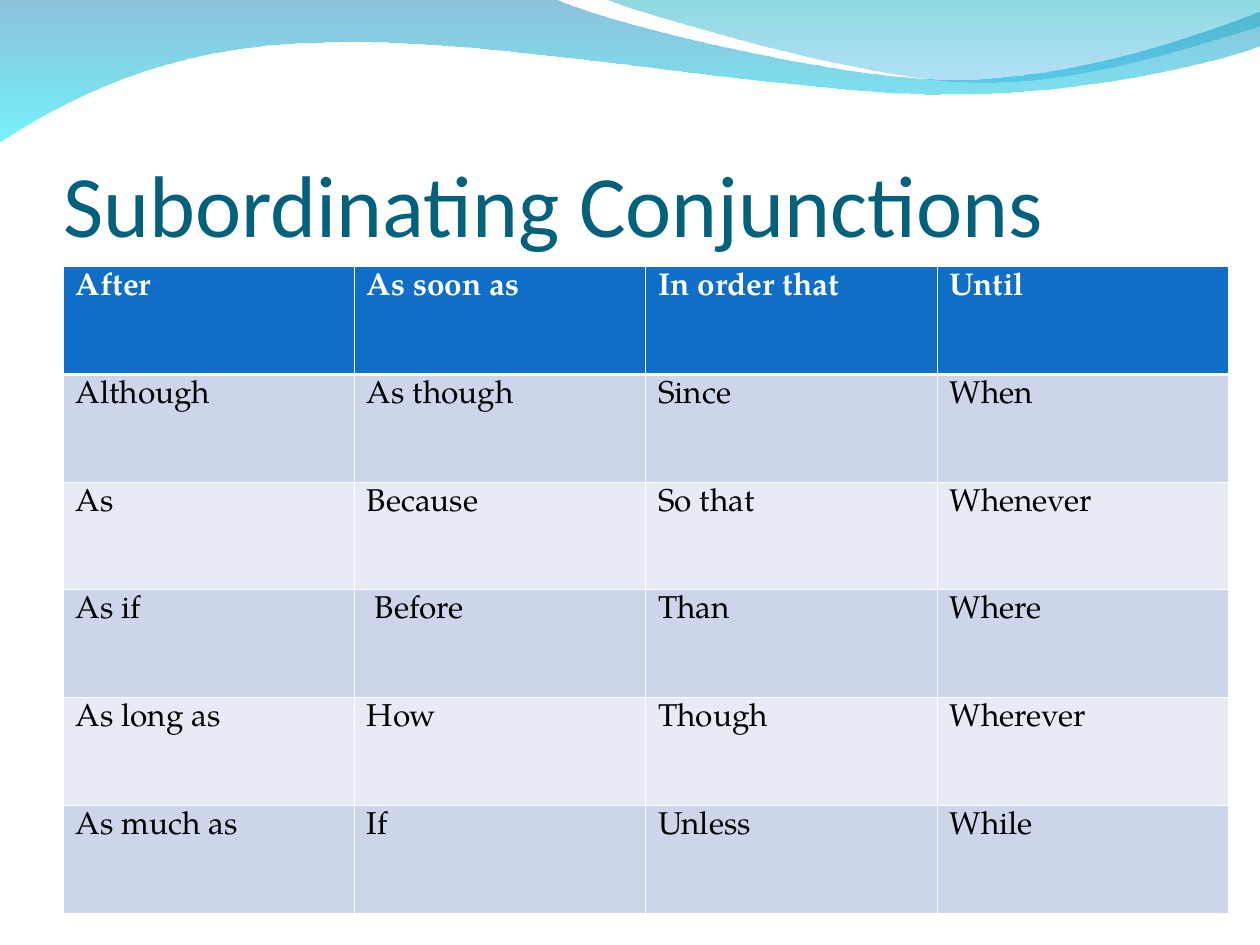
from lxml import etree
from pptx import Presentation
from pptx import util as u
from pptx.dml.color import RGBColor
from pptx.enum import text
from pptx.oxml.ns import qn

COLORS = {
    "title": "04617B",
    "header": "0F6FC6",
    "band": "CCD5EA",
    "light_band": "E7EBF5",
    "white": "FFFFFF",
    "black": "000000",
    "wave_top": "0079AF",
    "wave_bottom": "00EBF8",
    "crest_top": "00ADB6",
    "crest_bottom": "009BE5",
}
CONJUNCTIONS = [
    ["After", "As soon as", "In order that", "Until"],
    ["Although", "As though", "Since", "When"],
    ["As", "Because", "So that", "Whenever"],
    ["As if", " Before", "Than", "Where"],
    ["As long as", "How", "Though", "Wherever"],
    ["As much as", "If", "Unless", "While"],
]
WAVE = [
    [(0, -0.7)],
    [(316.8, -0.7)],
    [(342.7, 12.2), (478.1, 45.4), (545.8, 45.4)],
    [(614.2, 45.4), (689.8, 18.7), (720, 6.5)],
    [(720.7, 25.9)],
    [(707.8, 31.7), (626.4, 54.7), (537.1, 54)],
    [(447.8, 54), (275, 20.2), (185, 24.5)],
    [(92.9, 25.2), (33.1, 59.8), (-0.7, 81.4)],
    [(0, -0.7)],
]
CREST = [
    [(344.9, -0.7)],
    [(366.5, 7.9), (491, 44.6), (553.7, 46.8)],
    [(616.3, 49.7), (691.9, 23), (720, 15.1)],
    [(720, 0)],
    [(344.9, -0.7)],
]


def rgb(name):
    """Return the named colour."""
    return RGBColor.from_string(COLORS[name])


def bend_segments(shape, segments):
    """Join the three lines of each curved segment into one cubic curve."""
    lines = iter(list(shape.element.iter(qn("a:lnTo"))))
    for segment in segments[1:]:
        first, *others = [next(lines) for _ in segment]
        if others:
            curve = etree.Element(qn("a:cubicBezTo"))
            first.addprevious(curve)
            for line in [first, *others]:
                curve.append(line[0])
                line.getparent().remove(line)


def add_wave(slide, left, top, segments, stops):
    """Draw one translucent wave with a gradient from top to bottom."""
    points = [(u.Pt(left + x), u.Pt(top + y)) for segment in segments for x, y in segment]
    builder = slide.shapes.build_freeform(*points[0])
    builder.add_line_segments(points[1:], close=True)
    shape = builder.convert_to_shape()
    bend_segments(shape, segments)
    shape.shadow.inherit = False
    shape.line.fill.background()
    shape.fill.gradient()
    shape.fill.gradient_angle = 270
    for stop, (color, _) in zip(shape.fill.gradient_stops, stops):
        stop.color.rgb = rgb(color)
    gradient = shape.element.spPr.find(qn("a:gradFill"))
    for element, (_, opacity) in zip(gradient.iter(qn("a:srgbClr")), stops):
        etree.SubElement(element, qn("a:alpha"), val=str(opacity * 1000))


def add_header_waves(slide, left, top):
    """Draw the two waves along the top edge."""
    add_wave(slide, left, top, WAVE, [("wave_top", 45), ("wave_bottom", 55)])
    add_wave(slide, left, top, CREST, [("crest_top", 45), ("crest_bottom", 30)])


def add_run(paragraph, words, font, size, color, bold=False):
    """Add one formatted run."""
    run = paragraph.add_run()
    run.text = words
    run.font.name = font
    run.font.size = u.Pt(size)
    run.font.bold = bold
    run.font.color.rgb = rgb(color)


def place_title(slide, left, top, width, height, words):
    """Place the title placeholder in front of the waves."""
    title = slide.shapes.title
    slide.shapes.element.append(title.element)
    title.left, title.top = u.Pt(left), u.Pt(top)
    title.width, title.height = u.Pt(width), u.Pt(height)
    frame = title.text_frame
    frame.word_wrap = True
    frame.auto_size = text.MSO_AUTO_SIZE.NONE
    frame.vertical_anchor = text.MSO_ANCHOR.BOTTOM
    frame.margin_left = frame.margin_right = frame.margin_bottom = 0
    frame.margin_top = u.Pt(3.6)
    paragraph = frame.paragraphs[0]
    paragraph.alignment = text.PP_ALIGN.LEFT
    add_run(paragraph, words, "Calibri", 50, "title")


def set_borders(cell, widths):
    """Give a cell white borders, with widths for left, right, top and bottom."""
    properties = cell._tc.get_or_add_tcPr()
    for index, (side, width) in enumerate(zip("LRTB", widths)):
        line = etree.Element(qn(f"a:ln{side}"), w=str(u.Pt(width)))
        fill = etree.SubElement(line, qn("a:solidFill"))
        etree.SubElement(fill, qn("a:srgbClr"), val=COLORS["white"])
        properties.insert(index, line)


def add_word_table(slide, left, top, width, height, rows):
    """Add the banded table of conjunctions."""
    frame = slide.shapes.add_table(
        len(rows), len(rows[0]), u.Pt(left), u.Pt(top), u.Pt(width), u.Pt(height)
    )
    thin, thick = 0.45, 1.47
    for row, words in enumerate(rows):
        header = row == 0
        fill = "header" if header else "band" if row % 2 else "light_band"
        widths = (thin, thin, thick if row == 1 else thin, thick if header else thin)
        for column, word in enumerate(words):
            cell = frame.table.cell(row, column)
            cell.fill.solid()
            cell.fill.fore_color.rgb = rgb(fill)
            set_borders(cell, widths)
            add_run(cell.text_frame.paragraphs[0], word, "TeX Gyre Pagella", 18,
                    "white" if header else "black", header)


def main():
    """Build and save the presentation."""
    presentation = Presentation()
    presentation.slide_width, presentation.slide_height = u.Pt(720), u.Pt(540)
    slide = presentation.slides.add_slide(presentation.slide_layouts[5])
    add_header_waves(slide, 0, 0)
    place_title(slide, 36, 55.5, 648, 90, "Subordinating Conjunctions")
    add_word_table(slide, 36, 152.4, 666, 369.36, CONJUNCTIONS)
    presentation.save("out.pptx")


if __name__ == "__main__":
    main()
